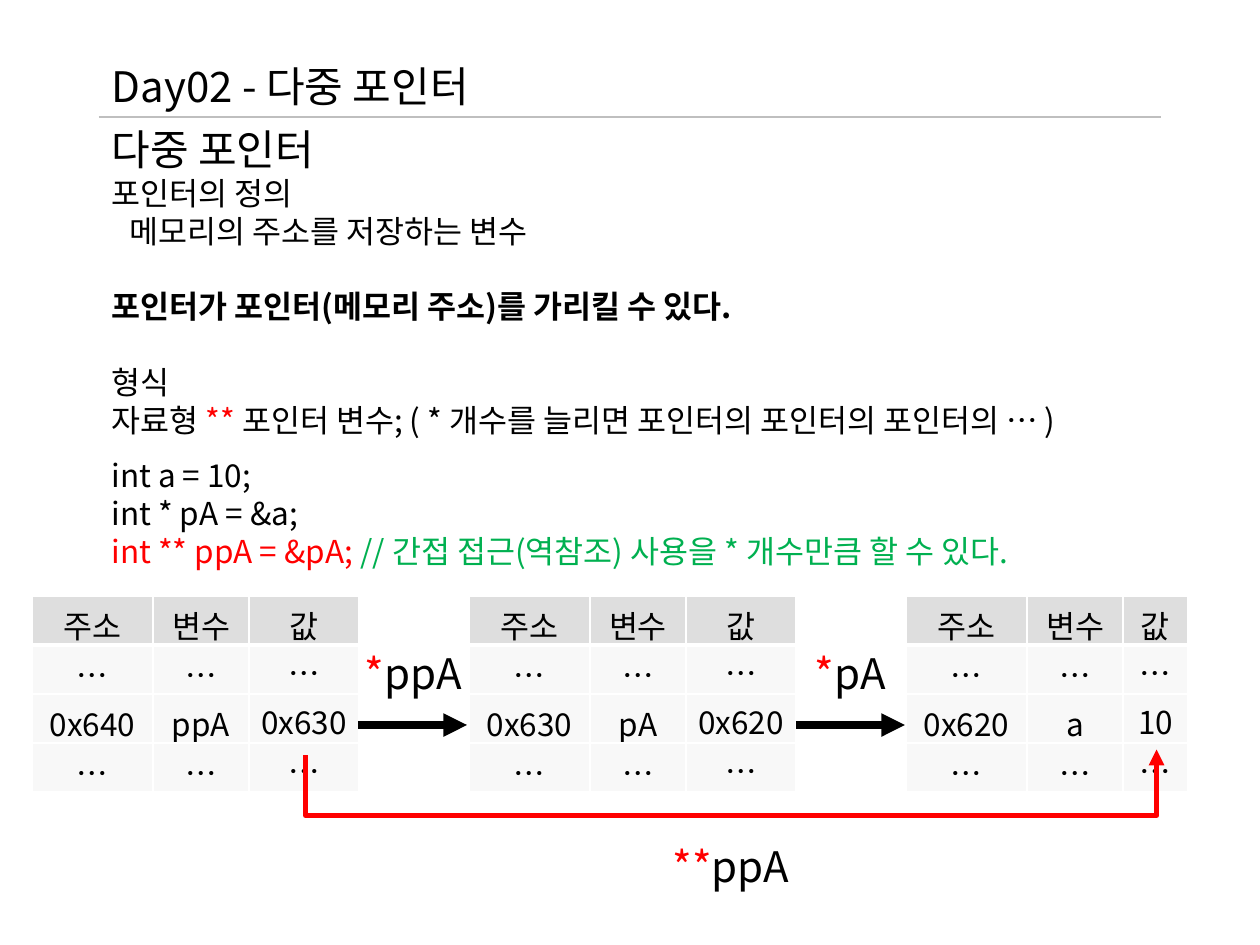
import lxml.etree
import pptx
import pptx.dml.color
import pptx.enum.shapes
import pptx.enum.text
import pptx.oxml.ns
import pptx.util

SCALE = 914400 / 126  # EMU in one px
FONT = "Noto Sans CJK KR"
COLORS = {
    "black": "000000", "white": "FFFFFF", "red": "FF0000",
    "green": "00B050", "gray": "BFBFBF", "pale": "F2F2F2",
}
LEFT = pptx.enum.text.PP_ALIGN.LEFT
CENTER = pptx.enum.text.PP_ALIGN.CENTER
LINE_GAP = 21.7  # points, the height of one text line

qn = pptx.oxml.ns.qn


def px(num):
    return pptx.util.Emu(round(num * SCALE))


def rgb(name):
    return pptx.dml.color.RGBColor.from_string(COLORS[name])


def child(parent, tag, **attrs):
    return lxml.etree.SubElement(parent, qn(tag), **attrs)


def write(par, text, size=18, color="black", bold=False):
    run = par.add_run()
    run.text = text
    font = run.font
    font.size, font.bold, font.name = pptx.util.Pt(size), bold, FONT
    font.color.rgb = rgb(color)
    child(run._r.get_or_add_rPr(), "a:ea", typeface=FONT)


def fill_text(frame, lines, align=LEFT):
    """Each line is (runs, space before in points, indent in px)."""
    frame.word_wrap = True
    for i, (runs, gap, indent) in enumerate(lines):
        par = frame.paragraphs[0] if i == 0 else frame.add_paragraph()
        props = par._p.get_or_add_pPr()
        props.set("marL", str(px(indent)))
        props.set("indent", "0")
        child(props, "a:buNone")
        par.alignment = align
        par.space_before = pptx.util.Pt(gap)
        for text, style in runs:
            write(par, text, **style)


def place(shape, left, top, width, height):
    shape.left, shape.top = px(left), px(top)
    shape.width, shape.height = px(width), px(height)
    frame = shape.text_frame
    frame.auto_size = pptx.enum.text.MSO_AUTO_SIZE.SHAPE_TO_FIT_TEXT
    frame.vertical_anchor = pptx.enum.text.MSO_ANCHOR.TOP
    return frame


def add_text(slide, box, lines, align=LEFT):
    fill_text(place(slide.shapes.add_textbox(0, 0, 0, 0), *box), lines, align)


def add_label(slide, box, stars, name):
    runs = [(stars, {"size": 24, "color": "red"}), (name, {"size": 24})]
    add_text(slide, box, [(runs, 0, 0)], CENTER)


def add_line(slide, start, end, color, weight, arrow=True, bent=False):
    kinds = pptx.enum.shapes.MSO_CONNECTOR
    kind = kinds.ELBOW if bent else kinds.STRAIGHT
    line = slide.shapes.add_connector(kind, *map(px, start + end))
    line.line.color.rgb = rgb(color)
    line.line.width = pptx.util.Pt(weight)
    props = line._element.spPr
    if arrow:
        child(props.find(qn("a:ln")), "a:tailEnd", type="triangle")
    child(props, "a:effectLst")
    return line


def add_bend(slide):
    # A short, tall elbow turned by 90 degrees, with its middle part below
    line = add_line(slide, (734, 1178), (728, 327), "red", 3, bent=True)
    line.rotation = 90
    guides = line._element.spPr.find(qn("a:prstGeom")).get_or_add_avLst()
    child(guides, "a:gd", name="adj1", fmla="val -998400")


def style_cell(cell, head, narrow):
    cell.fill.solid()
    cell.fill.fore_color.rgb = rgb("gray" if head else "pale")
    props = cell._tc.get_or_add_tcPr()
    child(props.find(".//" + qn("a:srgbClr")), "a:alpha", val="50000")
    for i, side in enumerate("LRTB"):
        thick = head and side == "B"
        edge = child(props, f"a:ln{side}", w=str(pptx.util.Pt(3 if thick else 1)))
        child(child(edge, "a:solidFill"), "a:srgbClr", val=COLORS["white"])
        props.insert(i, edge)
    cell.vertical_anchor = pptx.enum.text.MSO_ANCHOR.MIDDLE
    cell.margin_left = cell.margin_right = px(8 if narrow else 12)
    cell.margin_top, cell.margin_bottom = px(4 if narrow else 6), px(4 if narrow else 5)


def add_grid(slide, left, widths, values):
    dots = ["…"] * 3
    rows = [["주소", "변수", "값"], dots, values, dots]
    grid = slide.shapes.add_table(
        len(rows), len(widths), px(left), px(596), px(sum(widths)), px(196)).table
    for col, width in zip(grid.columns, widths):
        col.width = px(width)
    for r, row in enumerate(rows):
        grid.rows[r].height = px(49)
        for c, text in enumerate(row):
            cell = grid.cell(r, c)
            style_cell(cell, r == 0, r > 0 and c == 2)
            par = cell.text_frame.paragraphs[0]
            par.alignment = CENTER
            write(par, text)


def main():
    deck = pptx.Presentation()
    deck.slide_width, deck.slide_height = px(1260), px(945)
    slide = deck.slides.add_slide(deck.slide_layouts[1])
    red, green = {"color": "red"}, {"color": "green"}

    # Title and rule
    title = place(slide.shapes.title, 99, 54, 1062, 63)
    fill_text(title, [([("Day02 - 다중 포인터", {"size": 24})], 0, 0)])
    add_line(slide, (99, 117), (1161, 117), "gray", 0.75, arrow=False)

    # Definition and syntax
    body = place(slide.placeholders[1], 99, 117, 1062, 331)
    fill_text(body, [
        ([("다중 포인터", {"size": 24})], 0, 0),
        ([("포인터의 정의", {})], 0, 0),
        ([("메모리의 주소를 저장하는 변수", {})], 0, 18),
        ([("포인터가 포인터(메모리 주소)를 가리킬 수 있다.", {"bold": True})],
         LINE_GAP, 0),
        ([("형식", {})], LINE_GAP, 0),
        ([("자료형 ", {}), ("** ", red),
          ("포인터 변수; ( * 개수를 늘리면 포인터의 포인터의 포인터의 … )", {})], 0, 0),
    ])

    # Code sample
    add_text(slide, (99, 450, 1062, 127), [
        ([("int a = 10;", {})], 0, 0),
        ([("int * pA = &a;", {})], 0, 0),
        ([("int ** ppA = &pA; ", red),
          ("// 간접 접근(역참조) 사용을 * 개수만큼 할 수 있다.", green)], 0, 0),
    ])

    # Memory tables, evenly spaced
    cells = [("0x640", "ppA", "0x630"), ("0x630", "pA", "0x620"),
             ("0x620", "a", "10")]
    for i, values in enumerate(cells):
        last = 65 if i == 2 else 110
        add_grid(slide, 32 + 437 * i, (121, 96, last), values)

    # Arrows and their labels
    for start in (358, 796):
        add_line(slide, (start, 725), (start + 109, 725), "black", 4.5)
    add_bend(slide)
    add_label(slide, (348, 641, 131, 63), "*", "ppA")
    add_label(slide, (796, 641, 109, 63), "*", "pA")
    add_label(slide, (644, 834, 174, 63), "**", "ppA")

    deck.save("out.pptx")


if __name__ == "__main__":
    main()
